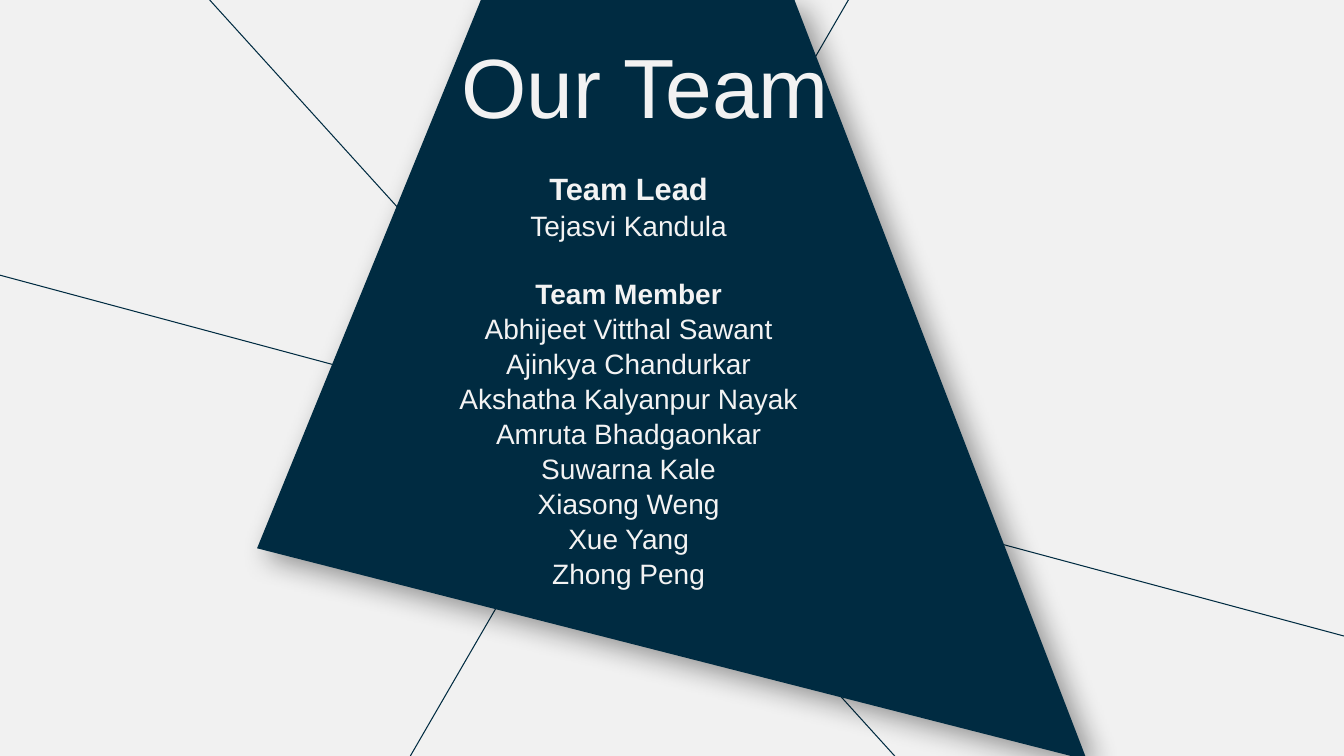
from dataclasses import dataclass

from lxml import etree
from pptx import Presentation
from pptx import util as u
from pptx.dml.color import RGBColor
from pptx.enum import shapes, text
from pptx.oxml.ns import qn


@dataclass(frozen=True)
class Theme:
    font: str = "Arial"
    background: str = "F1F1F1"
    navy: str = "002B41"
    title_color: str = "F2F2F2"
    body_color: str = "F3F3F3"
    shadow: str = "000000"
    title_size: int = 60
    lead_size: int = 22
    body_size: int = 20
    line_width: float = 0.75
    line_spacing: float = 1.045
    group_gap: int = 24


THEME = Theme()

TEAM = [
    ("Team Lead", THEME.lead_size, ["Tejasvi Kandula"]),
    ("Team Member", THEME.body_size, [
        "Abhijeet Vitthal Sawant", "Ajinkya Chandurkar",
        "Akshatha Kalyanpur Nayak", "Amruta Bhadgaonkar", "Suwarna Kale",
        "Xiasong Weng", "Xue Yang", "Zhong Peng"]),
]


def rgb(color):
    return RGBColor.from_string(color)


def add_rays(s, rays):
    for ray in rays:
        line = s.shapes.add_connector(
            shapes.MSO_CONNECTOR.STRAIGHT, *(u.Inches(v) for v in ray))
        line.line.color.rgb = rgb(THEME.navy)
        line.line.width = u.Pt(THEME.line_width)
        etree.SubElement(line._element.spPr, qn("a:effectLst"))


def add_panel(s, left, top, width, height):
    """Draw the slanted quadrilateral with its soft shadow."""
    corners = [(2.22, 0), (5.33, 0), (width, height), (0, 5.44)]
    points = [(u.Inches(left + x), u.Inches(top + y)) for x, y in corners]
    builder = s.shapes.build_freeform(*points[0])
    builder.add_line_segments(points[1:], close=True)
    sp = builder.convert_to_shape()
    sp.fill.solid()
    sp.fill.fore_color.rgb = rgb(THEME.navy)
    sp.line.fill.background()
    sp.shadow.inherit = False
    effects = sp._element.spPr.find(qn("a:effectLst"))
    shadow = etree.SubElement(
        effects, qn("a:outerShdw"), blurRad=str(u.Pt(20)), dist=str(u.Pt(10)),
        dir=str(45 * 60000), algn="tl", rotWithShape="0")
    color = etree.SubElement(shadow, qn("a:srgbClr"), val=THEME.shadow)
    etree.SubElement(color, qn("a:alpha"), val="40000")


def add_text_frame(s, box, inset_y):
    tf = s.shapes.add_textbox(*(u.Inches(v) for v in box)).text_frame
    tf.word_wrap = True
    tf.margin_left = tf.margin_right = u.Inches(0.1)
    tf.margin_top = tf.margin_bottom = u.Inches(inset_y)
    return tf


def add_run(p, words, size, color, bold=False):
    p.alignment = text.PP_ALIGN.CENTER
    r = p.add_run()
    r.text = words
    r.font.name = THEME.font
    r.font.size = u.Pt(size)
    r.font.bold = bold
    r.font.color.rgb = rgb(color)


def add_title(s, box, words):
    tf = add_text_frame(s, box, 0.05)
    add_run(tf.paragraphs[0], words, THEME.title_size, THEME.title_color)


def add_team(s, box, team):
    tf = add_text_frame(s, box, 0.1)
    p = tf.paragraphs[0]
    for i, (role, role_size, names) in enumerate(team):
        if i:
            p = tf.add_paragraph()
            p.space_before = u.Pt(THEME.group_gap)
        p.line_spacing = THEME.line_spacing
        add_run(p, role, role_size, THEME.body_color, bold=True)
        for name in names:
            p = tf.add_paragraph()
            p.line_spacing = THEME.line_spacing
            add_run(p, name, THEME.body_size, THEME.body_color)


def build_team_slide(prs):
    s = prs.slides.add_slide(prs.slide_layouts[6])
    s.background.fill.solid()
    s.background.fill.fore_color.rgb = rgb(THEME.background)
    add_rays(s, [(8.53, -0.2, 4.07, 7.5), (8.91, 7.54, 2.08, 0),
                 (0, 2.73, 13.33, 6.31)])
    add_panel(s, 2.55, 0, 8.23, 7.54)
    add_title(s, (4.39, 0.29, 4.02, 1.12), "Our Team")
    add_team(s, (4.07, 1.57, 4.33, 3.18), TEAM)


def main():
    prs = Presentation()
    prs.slide_width, prs.slide_height = u.Inches(13.33), u.Inches(7.5)
    build_team_slide(prs)
    prs.save("out.pptx")


if __name__ == "__main__":
    main()
